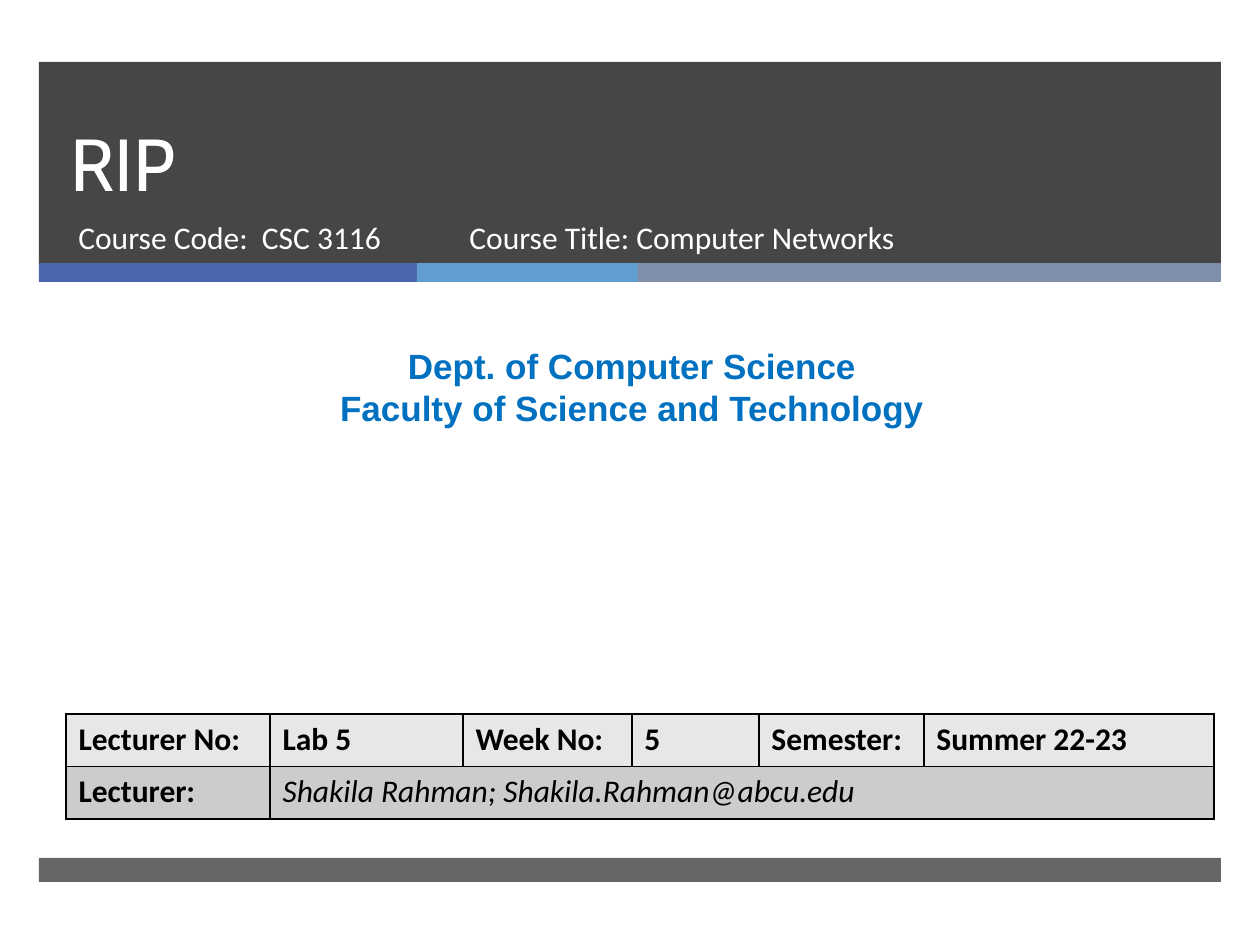
from dataclasses import dataclass

from lxml import etree
from pptx import Presentation
from pptx import util as u
from pptx.dml.color import RGBColor
from pptx.enum import shapes, text
from pptx.oxml import ns


@dataclass(frozen=True)
class Theme:
    """Colours, fonts and type sizes of the slide."""
    dark: str = "262626"
    white: str = "FFFFFF"
    black: str = "000000"
    dept: str = "0070C0"
    stripes: tuple = ("4A66AC", "629DD1", "7F8FA9")
    rows: tuple = ("E7E7E7", "CCCCCC")
    title_font: str = "Cabin"
    body_font: str = "Calibri"
    dept_font: str = "Arial"
    title: int = 42
    title_line: int = 46
    dept_size: int = 20
    body: int = 18


T = Theme()


def px(n):
    """Turn px at 126 to the inch into EMU."""
    return u.Emu(round(n * 914400 / 126))


def paint(fill, color):
    """Give a fill one solid colour."""
    fill.solid()
    fill.fore_color.rgb = RGBColor.from_string(color)


def style(p, name, size, color, bold=False, italic=False):
    """Set the font of a paragraph."""
    f = p.font
    f.name, f.size, f.bold, f.italic = name, u.Pt(size), bold, italic
    f.color.rgb = RGBColor.from_string(color)


def add_bar(s, x, y, w, h, color, opacity=100):
    """Draw a plain rectangle, translucent if asked."""
    sp = s.shapes.add_shape(shapes.MSO_SHAPE.RECTANGLE, px(x), px(y), px(w), px(h))
    sp.shadow.inherit = False
    sp.line.fill.background()
    paint(sp.fill, color)
    if opacity < 100:
        clr = sp._element.spPr.find(".//" + ns.qn("a:srgbClr"))
        etree.SubElement(clr, ns.qn("a:alpha"), val=str(opacity * 1000))


def add_text(s, x, y, w, h, lines, font, align=text.PP_ALIGN.LEFT):
    """Place a text box with one paragraph per line and return its frame."""
    tf = s.shapes.add_textbox(px(x), px(y), px(w), px(h)).text_frame
    tf.word_wrap = True
    tf.text = "\n".join(lines)
    for p in tf.paragraphs:
        p.alignment = align
        style(p, *font)
    return tf


def add_header(s, x, y, w, h):
    """Build the title band with its course lines and stripes."""
    band = h - 19
    add_bar(s, x, y, w, band + 1, T.dark, 85)
    left = x
    for width, color in zip((378, 221, w - 599), T.stripes):
        add_bar(s, left, y + band, width, 19, color)
        left += width
    tf = add_text(s, x + 19, y, 1076, 150, ["RIP"], (T.title_font, T.title, T.white))
    tf.vertical_anchor = text.MSO_ANCHOR.BOTTOM
    tf.paragraphs[0].line_spacing = u.Pt(T.title_line)
    courses = ((27, 384, "Course Code:  CSC 3116"),
               (418, 573, "Course Title: Computer Networks"))
    for dx, width, line in courses:
        add_text(s, x + dx, y + 150, width, 67, [line], (T.body_font, T.body, T.white))


def add_department(s, x, y, w, h):
    """Write the centred department lines."""
    add_text(s, x, y, w, h,
             ["Dept. of Computer Science", "Faculty of Science and Technology"],
             (T.dept_font, T.dept_size, T.dept, True), text.PP_ALIGN.CENTER)


def add_borders(cell):
    """Put a thin black line on each side of a cell."""
    tc_pr = cell._tc.get_or_add_tcPr()
    for i, side in enumerate(("lnL", "lnR", "lnT", "lnB")):
        ln = etree.Element(ns.qn("a:" + side), w=str(u.Pt(1)))
        fill = etree.SubElement(ln, ns.qn("a:solidFill"))
        etree.SubElement(fill, ns.qn("a:srgbClr"), val=T.black)
        tc_pr.insert(i, ln)


def add_details(s, x, y, w, h):
    """Build the table of lecture details."""
    cols = (204, 193, 169, 127, 165)
    rows = (("Lecturer No:", "Lab 5", "Week No:", "5", "Semester:", "Summer 22-23"),
            ("Lecturer:", "Shakila Rahman; Shakila.Rahman@abcu.edu"))
    tbl = s.shapes.add_table(2, 6, px(x), px(y), px(w), px(h)).table
    for col, width in zip(tbl.columns, cols + (w - sum(cols),)):
        col.width = px(width)
    tbl.cell(1, 1).merge(tbl.cell(1, 5))
    for r, words in enumerate(rows):
        for c in range(6):
            cell = tbl.cell(r, c)
            paint(cell.fill, T.rows[r])
            add_borders(cell)
            if c < len(words):
                cell.text = words[c]
                name = (r, c) == (1, 1)
                style(cell.text_frame.paragraphs[0], T.body_font, T.body, T.black,
                      not name, name)


def main():
    """Build the slide and save it."""
    prs = Presentation()
    prs.slide_width, prs.slide_height = px(1260), px(945)
    s = prs.slides.add_slide(prs.slide_layouts[6])
    add_header(s, 39, 62, 1182, 220)
    add_bar(s, 39, 858, 1182, 24, T.dark, 70)
    add_department(s, 10, 338, 1244, 97)
    add_details(s, 66, 714, 1148, 105)
    prs.save("out.pptx")


if __name__ == "__main__":
    main()
